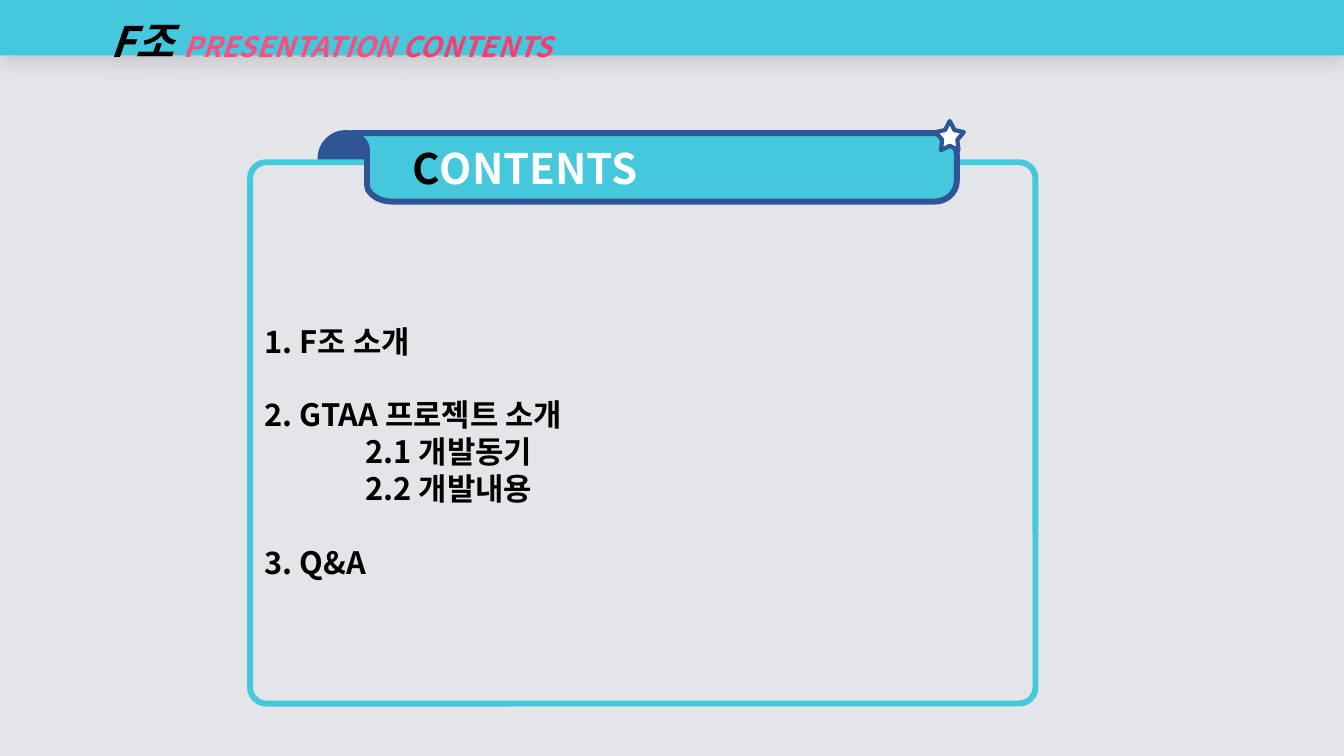
from lxml import etree
from pptx import Presentation
from pptx.dml.color import RGBColor
from pptx.enum.shapes import MSO_SHAPE
from pptx.enum.text import MSO_ANCHOR, MSO_AUTO_SIZE, PP_ALIGN
from pptx.oxml import parse_xml
from pptx.oxml.ns import qn
from pptx.util import Inches, Pt

ROUND_TOP = MSO_SHAPE.ROUND_2_SAME_RECTANGLE
ROUNDED = MSO_SHAPE.ROUNDED_RECTANGLE
STAR = MSO_SHAPE.STAR_5_POINT
MIDDLE = MSO_ANCHOR.MIDDLE
LEFT = PP_ALIGN.LEFT
NO_FIT = MSO_AUTO_SIZE.NONE

FONT = "Noto Sans CJK KR"
BLACK, WHITE, GRAY = "000000", "FFFFFF", "E3E5E9"
CYAN, NAVY = "45C8DC", "2F5597"
LINE_PITCH = 26.4

HEADER = [("F조 ", 30, BLACK), ("PRESENTATION ", 20, "FA4E7E"), ("CONTENTS", 20, "FA3C71")]
BANNER = [("C", 30, BLACK), ("ONTENTS", 30, WHITE)]
AGENDA = [
    ("1. F조 소개", 0, 0),
    ("2. GTAA 프로젝트 소개", 0, LINE_PITCH),
    ("2.1 개발동기", 1, 0),
    ("2.2 개발내용", 1, 0),
    ("3. Q&A", 0, LINE_PITCH),
]
RIBBON_START = (3.49, 1.32)
RIBBON = [
    [(9.27, 1.32)],
    [(9.39, 1.32), (9.49, 1.42), (9.49, 1.53)],
    [(9.49, 1.79)],
    [(9.49, 1.91), (9.39, 2), (9.27, 2)],
    [(3.89, 2)],
    [(3.78, 2), (3.69, 1.95), (3.65, 1.88)],
    [(3.64, 1.83)],
    [(3.64, 1.49)],
    [(3.64, 1.43), (3.6, 1.37), (3.53, 1.35)],
    [(3.49, 1.34)],
]
SHADOW = (
    '<a:effectLst xmlns:a="http://schemas.openxmlformats.org/drawingml/2006/main">'
    '<a:outerShdw blurRad="190500" dist="38100" dir="5400000" algn="t" rotWithShape="0">'
    '<a:srgbClr val="000000"><a:alpha val="15000"/></a:srgbClr>'
    '</a:outerShdw></a:effectLst>'
)


def color(value):
    return RGBColor.from_string(value)


def paint(shape, fill, line=None, width=4.25):
    shape.fill.solid()
    shape.fill.fore_color.rgb = color(fill)
    if line:
        shape.line.color.rgb = color(line)
        shape.line.width = Pt(width)
    else:
        shape.line.fill.background()


def add_box(page, kind, place, fill, line, width=4.25, adjustments=()):
    box = page.shapes.add_shape(kind, *map(Inches, place))
    box.shadow.inherit = False
    paint(box, fill, line, width)
    for index, value in enumerate(adjustments):
        box.adjustments[index] = value
    return box


def setup_frame(shape, top=0.05):
    frame = shape.text_frame
    frame.word_wrap = True
    frame.auto_size = NO_FIT
    frame.vertical_anchor = MIDDLE
    frame.margin_left = frame.margin_right = Inches(0.1)
    frame.margin_top, frame.margin_bottom = Inches(top), Inches(0.05)
    return frame


def write(para, spans, indent=0, italic=False, spacing=1.0, before=0):
    para.alignment = LEFT
    para.line_spacing = spacing
    para.space_before = Pt(before)
    properties = para._p.get_or_add_pPr()
    properties.set("marL", str(Inches(indent)))
    properties.set("indent", "0")
    for text, size, tint in spans:
        span = para.add_run()
        span.text = text
        font = span.font
        font.name, font.size = FONT, Pt(size)
        font.bold, font.italic = True, italic
        font.color.rgb = color(tint)
        etree.SubElement(span._r.get_or_add_rPr(), qn("a:ea"), typeface=FONT)


def curve(start, first, second, end, steps=10):
    for step in range(1, steps + 1):
        t = step / steps
        weights = ((1 - t) ** 3, 3 * t * (1 - t) ** 2, 3 * t * t * (1 - t), t ** 3)
        yield tuple(
            sum(weight * value for weight, value in zip(weights, axis))
            for axis in zip(start, first, second, end)
        )


def add_ribbon(page):
    points = [RIBBON_START]
    for piece in RIBBON:
        points.extend(curve(points[-1], *piece) if len(piece) == 3 else piece)
    corners = [(Inches(x), Inches(y)) for x, y in points]
    builder = page.shapes.build_freeform(*corners[0])
    builder.add_line_segments(corners[1:], close=True)
    ribbon = builder.convert_to_shape()
    ribbon.shadow.inherit = False
    paint(ribbon, CYAN, NAVY)
    write(setup_frame(ribbon).paragraphs[0], BANNER, indent=0.5)


def add_header(page):
    header = page.shapes.title
    header.left, header.top = Inches(0), Inches(0)
    header.width, header.height = Inches(13.33), Inches(0.55)
    paint(header, CYAN)
    header._element.spPr.append(parse_xml(SHADOW))
    write(setup_frame(header).paragraphs[0], HEADER, indent=1, italic=True, spacing=1.5)


def add_agenda(page):
    panel = add_box(page, ROUNDED, (2.48, 1.61, 7.79, 5.37), GRAY, CYAN, adjustments=[0.03])
    frame = setup_frame(panel, top=0.42)
    for index, (text, indent, before) in enumerate(AGENDA):
        para = frame.add_paragraph() if index else frame.paragraphs[0]
        write(para, [(text, 22, BLACK)], indent, spacing=Pt(LINE_PITCH), before=before)


def main():
    deck = Presentation()
    deck.slide_width, deck.slide_height = Inches(13.33), Inches(7.5)
    page = deck.slides.add_slide(deck.slide_layouts[5])
    page.background.fill.solid()
    page.background.fill.fore_color.rgb = color(GRAY)
    add_header(page)
    add_box(page, ROUND_TOP, (3.18, 1.32, 0.5, 0.98), NAVY, NAVY, adjustments=[0.5, 0])
    add_agenda(page)
    add_ribbon(page)
    add_box(page, STAR, (9.28, 1.2, 0.28, 0.29), WHITE, NAVY, 3, [0.27])
    deck.save("out.pptx")


if __name__ == "__main__":
    main()
